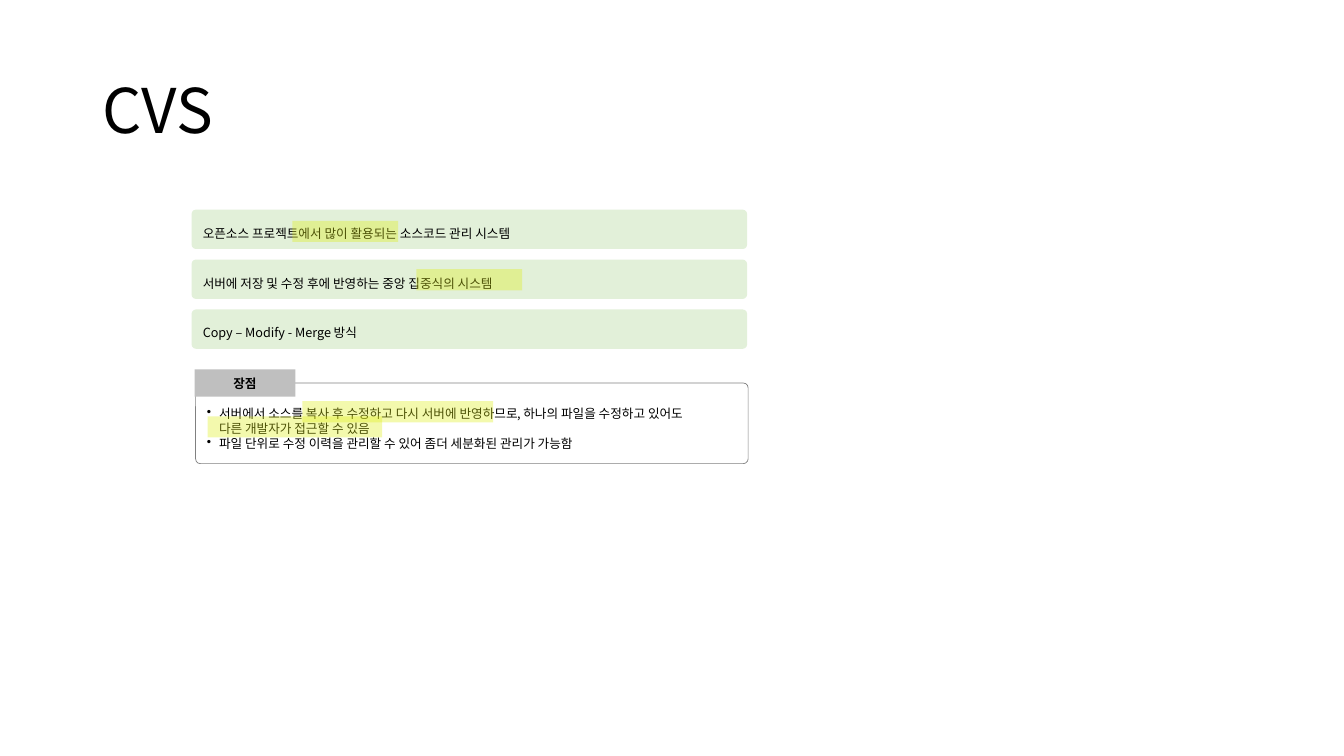
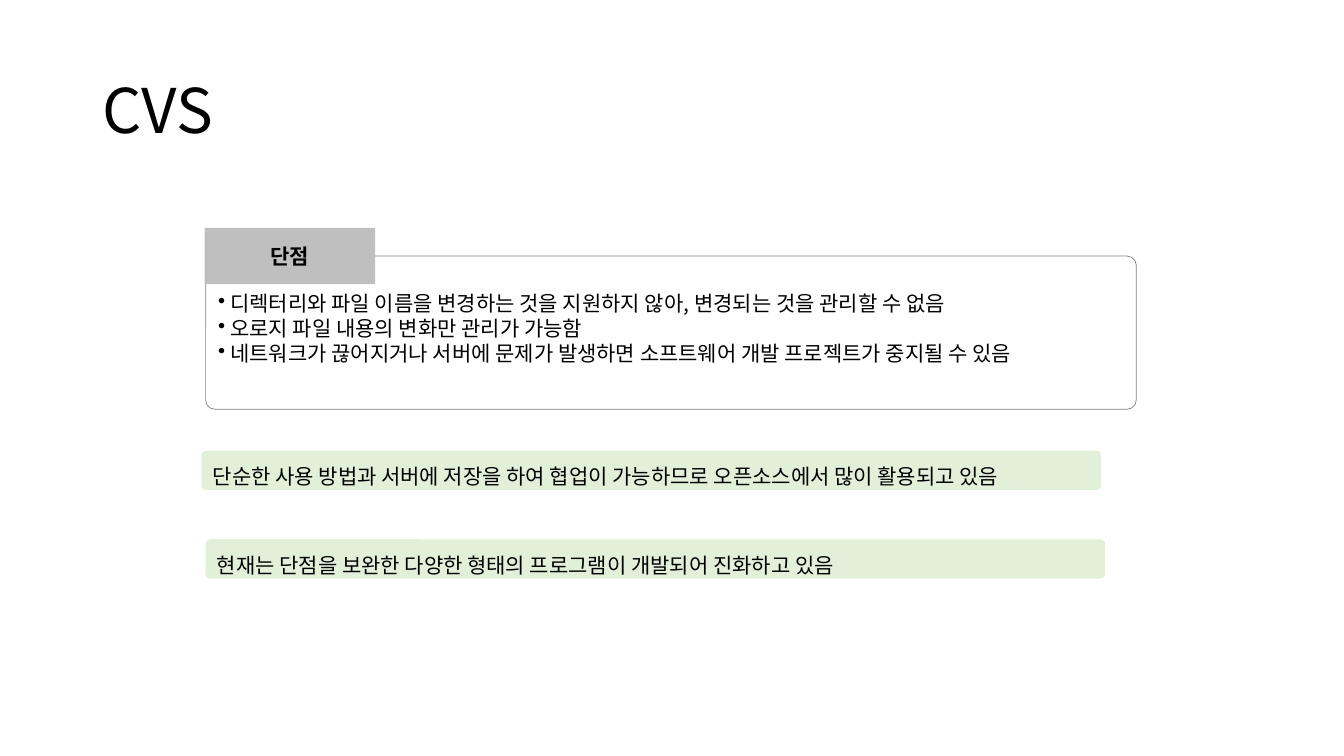
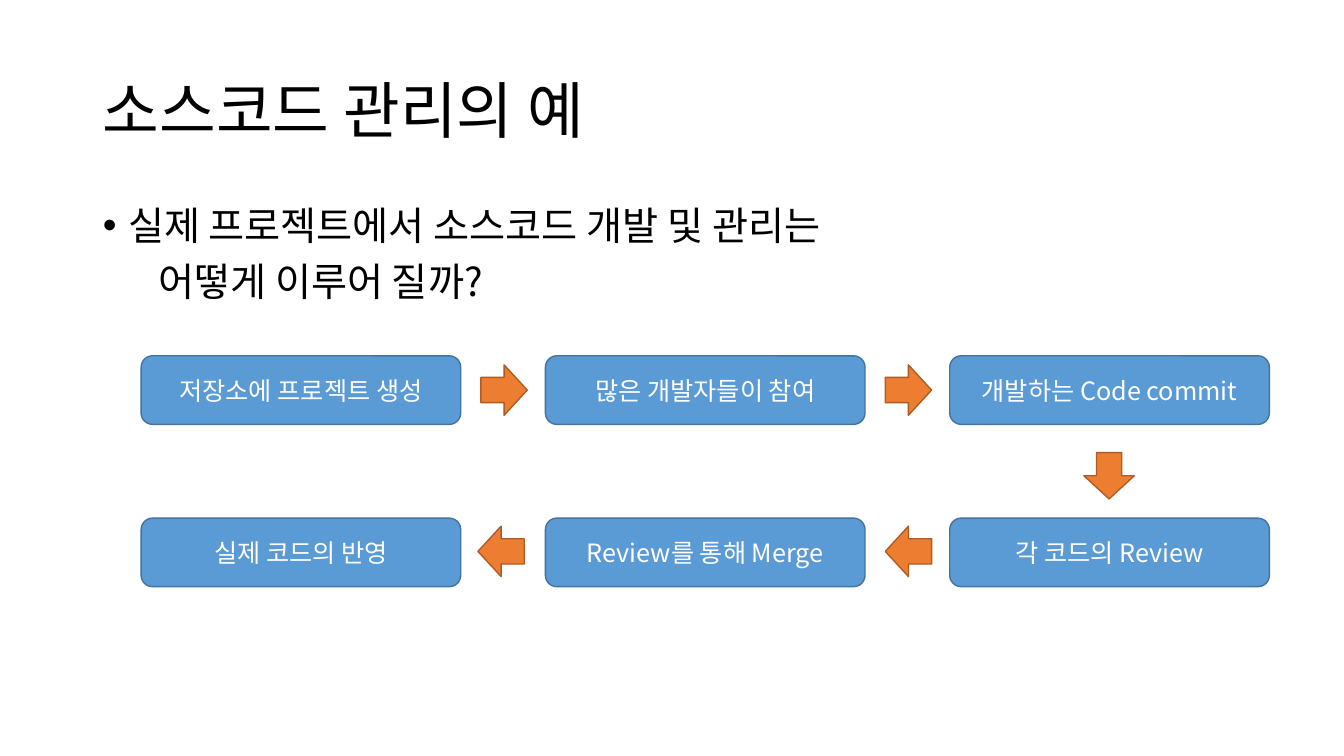
import pptx
import pptx.dml.color
import pptx.enum.shapes
import pptx.enum.text
import pptx.oxml.ns
import pptx.util
from lxml import etree

Inches = pptx.util.Inches
Pt = pptx.util.Pt
SHAPES = pptx.enum.shapes.MSO_SHAPE
ALIGN = pptx.enum.text.PP_ALIGN
ANCHOR = pptx.enum.text.MSO_ANCHOR

FONT = "Noto Sans CJK KR"
BLACK, WHITE, GRAY, TAB_GRAY = "000000", "FFFFFF", "808080", "BFBFBF"
GREEN, YELLOW = "E2F0D9", "DFEE16"
BLUE, BLUE_LINE = "5B9BD5", "43739E"
ORANGE, ORANGE_LINE = "ED7D31", "AF5C24"
LINE_HEIGHT = 1.19


def rgb(value):
    """Turn a hex string into a colour."""
    return pptx.dml.color.RGBColor.from_string(value)


def add_run(paragraph, text, size, color=BLACK, bold=False):
    """Add one run in the shared font."""
    run = paragraph.add_run()
    run.text = text
    run.font.name = FONT
    run.font.size = Pt(size)
    run.font.bold = bold
    run.font.color.rgb = rgb(color)
    east_asian = etree.SubElement(run.font._element, pptx.oxml.ns.qn("a:ea"))
    east_asian.set("typeface", FONT)


def set_indent(paragraph, margin, hanging=0, bullet=None):
    """Set the left margin, hanging indent and bullet of a paragraph."""
    properties = paragraph._p.get_or_add_pPr()
    properties.set("marL", str(Inches(margin)))
    properties.set("indent", str(-Inches(hanging)))
    if bullet:
        etree.SubElement(properties, pptx.oxml.ns.qn("a:buChar")).set("char", bullet)
    else:
        etree.SubElement(properties, pptx.oxml.ns.qn("a:buNone"))


def add_box(slide, kind, box, fill=None, line=None, line_width=1, radius=None):
    """Add a flat preset shape in the given box."""
    shape = slide.shapes.add_shape(kind, *map(Inches, box))
    shape.shadow.inherit = False
    if fill:
        shape.fill.solid()
        shape.fill.fore_color.rgb = rgb(fill)
    else:
        shape.fill.background()
    if line:
        shape.line.color.rgb = rgb(line)
        shape.line.width = Pt(line_width)
    else:
        shape.line.fill.background()
    if radius is not None:
        shape.adjustments[0] = radius
    return shape


def add_label(shape, text, size, color=BLACK, bold=False, align=ALIGN.CENTER):
    """Write one line in the middle of a shape and return its paragraph."""
    shape.text_frame.word_wrap = True
    shape.text_frame.vertical_anchor = ANCHOR.MIDDLE
    paragraph = shape.text_frame.paragraphs[0]
    paragraph.alignment = align
    add_run(paragraph, text, size, color, bold)
    return paragraph


def add_titled_slide(presentation, layout_index, title):
    """Add a slide with the shared title style."""
    slide = presentation.slides.add_slide(presentation.slide_layouts[layout_index])
    shape = slide.shapes.title
    shape.left, shape.top, shape.width, shape.height = map(Inches, (0.92, 0.4, 11.5, 1.45))
    add_label(shape, title, 44, align=ALIGN.LEFT).line_spacing = 0.9
    return slide


def add_bar(slide, left, top, width, text, size):
    """Add a green bar with one statement."""
    bar = add_box(slide, SHAPES.ROUNDED_RECTANGLE, (left, top, width, 0.39), GREEN, radius=0.112)
    add_label(bar, text, size, align=ALIGN.LEFT).line_spacing = 1.5


def add_highlight(slide, left, top, width):
    """Lay a translucent marker stroke over text."""
    marker = add_box(slide, SHAPES.RECTANGLE, (left, top, width, 0.21), YELLOW)
    color = marker.fill._xPr.find(".//" + pptx.oxml.ns.qn("a:srgbClr"))
    etree.SubElement(color, pptx.oxml.ns.qn("a:alpha")).set("val", "35000")


def add_panel(slide, box, tab_size, heading, items, size):
    """Add an outlined bullet panel with a gray tab on its top left corner."""
    left, top = box[:2]
    tab_width, tab_height = tab_size
    panel = add_box(slide, SHAPES.ROUNDED_RECTANGLE, box, None, GRAY, 0.5, 0.06)
    frame = panel.text_frame
    frame.word_wrap = True
    frame.vertical_anchor = ANCHOR.TOP
    frame.margin_top = Inches(0.07 + LINE_HEIGHT * size / 72)
    for index, lines in enumerate(items):
        paragraph = frame.add_paragraph() if index else frame.paragraphs[0]
        paragraph.alignment = ALIGN.LEFT
        paragraph.line_spacing = Pt(LINE_HEIGHT * size)
        set_indent(paragraph, 0.12, 0.12, "•")
        for number, line in enumerate(lines.split("\n")):
            if number:
                paragraph.add_line_break()
            add_run(paragraph, line, size)
    tab_box = (left - 0.01, top - tab_height / 2, tab_width, tab_height)
    tab = add_box(slide, SHAPES.RECTANGLE, tab_box, TAB_GRAY)
    add_label(tab, heading, size, bold=True)


def add_question(slide, box, lines):
    """Write the bulleted question in the body placeholder."""
    body = slide.placeholders[1]
    body.left, body.top, body.width, body.height = map(Inches, box)
    frame = body.text_frame
    frame.auto_size = pptx.enum.text.MSO_AUTO_SIZE.NONE
    for index, line in enumerate(lines):
        paragraph = frame.add_paragraph() if index else frame.paragraphs[0]
        paragraph.line_spacing = Pt(30)
        paragraph.space_before = Pt(10 if index else 0)
        if index:
            set_indent(paragraph, 0.55)
        else:
            set_indent(paragraph, 0.25, 0.25, "•")
        add_run(paragraph, line, 28)


def add_flow(slide, left, top, steps):
    """Lay out steps in two rows, right then back left, joined by block arrows."""
    width, height, column_pitch, row_pitch = 3.17, 0.68, 4.01, 1.61
    cells = [(0, 0), (1, 0), (2, 0), (2, 1), (1, 1), (0, 1)]
    for (column, row), text in zip(cells, steps):
        box = (left + column * column_pitch, top + row * row_pitch, width, height)
        step = add_box(slide, SHAPES.ROUNDED_RECTANGLE, box, BLUE, BLUE_LINE)
        add_label(step, text, 18, WHITE)
    arrows = [(3.37, 0.09, 0), (7.38, 0.09, 0), (9.37, 0.94, 90),
              (7.38, 1.69, 180), (3.34, 1.69, 180)]
    for across, down, rotation in arrows:
        box = (left + across, top + down, 0.46, 0.5)
        add_box(slide, SHAPES.RIGHT_ARROW, box, ORANGE, ORANGE_LINE).rotation = rotation


def build_advantages(presentation):
    """Build the slide on features and advantages."""
    slide = add_titled_slide(presentation, 5, "CVS")
    features = ["오픈소스 프로젝트에서 많이 활용되는 소스코드 관리 시스템",
                "서버에 저장 및 수정 후에 반영하는 중앙 집중식의 시스템",
                "Copy – Modify - Merge 방식"]
    for index, feature in enumerate(features):
        add_bar(slide, 1.9, 2.08 + index * 0.495, 5.51, feature, 9)
    add_panel(slide, (1.94, 3.8, 5.48, 0.8), (1, 0.27), "장점", [
        "서버에서 소스를 복사 후 수정하고 다시 서버에 반영하므로, 하나의 파일을 수정하고 있어도\n"
        "다른 개발자가 접근할 수 있음",
        "파일 단위로 수정 이력을 관리할 수 있어 좀더 세분화된 관리가 가능함"], 9)
    for left, top, width in [(2.9, 2.19, 1.05), (4.13, 2.67, 1.05),
                             (3, 3.98, 1.89), (2.06, 4.13, 1.73)]:
        add_highlight(slide, left, top, width)


def build_drawbacks(presentation):
    """Build the slide on drawbacks and the present state."""
    slide = add_titled_slide(presentation, 5, "CVS")
    add_bar(slide, 2, 4.47, 8.92,
            "단순한 사용 방법과 서버에 저장을 하여 협업이 가능하므로 오픈소스에서 많이 활용되고 있음", 15)
    add_bar(slide, 2.04, 5.35, 8.92,
            "현재는 단점을 보완한 다양한 형태의 프로그램이 개발되어 진화하고 있음", 15)
    add_panel(slide, (2.04, 2.54, 9.23, 1.52), (1.69, 0.56), "단점", [
        "디렉터리와 파일 이름을 변경하는 것을 지원하지 않아, 변경되는 것을 관리할 수 없음",
        "오로지 파일 내용의 변화만 관리가 가능함",
        "네트워크가 끊어지거나 서버에 문제가 발생하면 소프트웨어 개발 프로젝트가 중지될 수 있음"], 15)


def build_example(presentation):
    """Build the slide with the workflow example."""
    slide = add_titled_slide(presentation, 1, "소스코드 관리의 예")
    add_question(slide, (0.92, 2, 11.5, 4.76),
                 ["실제 프로젝트에서 소스코드 개발 및 관리는", "어떻게 이루어 질까?"])
    add_flow(slide, 1.4, 3.53, [
        "저장소에 프로젝트 생성", "많은 개발자들이 참여", "개발하는 Code commit",
        "각 코드의 Review", "Review를 통해 Merge", "실제 코드의 반영"])


def main():
    """Build and save the presentation."""
    presentation = pptx.Presentation()
    presentation.slide_width = Inches(13.33)
    presentation.slide_height = Inches(7.5)
    build_advantages(presentation)
    build_drawbacks(presentation)
    build_example(presentation)
    presentation.save("out.pptx")


if __name__ == "__main__":
    main()
